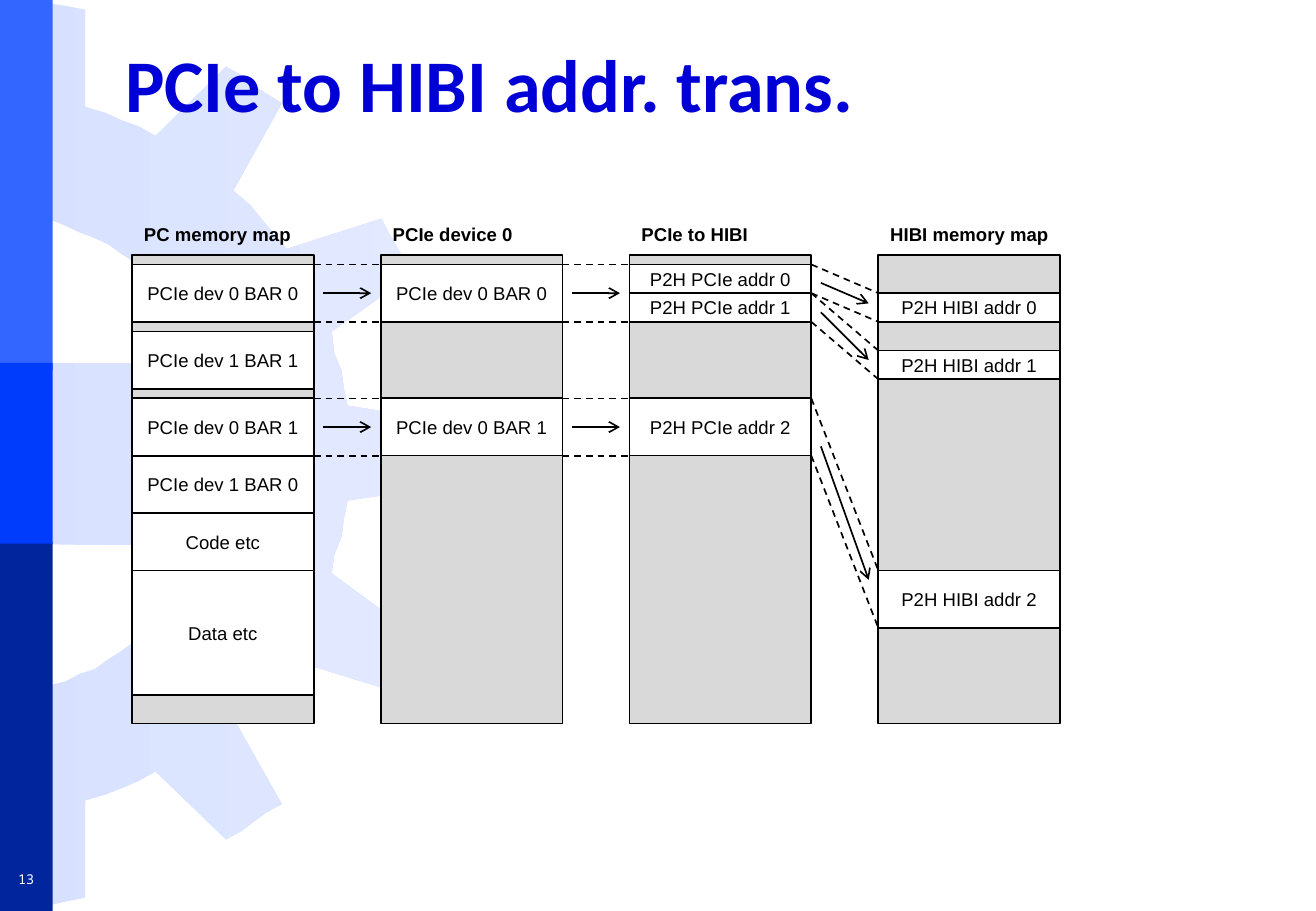
from dataclasses import dataclass

from lxml.etree import SubElement
from pptx import Presentation
from pptx.dml.color import RGBColor
from pptx.enum.dml import MSO_LINE
from pptx.enum.shapes import MSO_CONNECTOR, MSO_SHAPE
from pptx.enum.text import MSO_ANCHOR, PP_ALIGN
from pptx.oxml.ns import qn
from pptx.shapes.autoshape import Shape
from pptx.shapes.connector import Connector
from pptx.slide import Slide
from pptx.util import Cm, Pt

BLACK = RGBColor(0x00, 0x00, 0x00)
WHITE = RGBColor(0xFF, 0xFF, 0xFF)
GREY = RGBColor(0xD9, 0xD9, 0xD9)
TITLE_BLUE = RGBColor(0x00, 0x00, 0xD6)
LIGHT_BLUE = RGBColor(0x33, 0x66, 0xFF)
MID_BLUE = RGBColor(0x00, 0x3C, 0xFC)
DARK_BLUE = RGBColor(0x00, 0x25, 0x9C)
GEAR_LEFT = RGBColor(0xD7, 0xE1, 0xFF)
GEAR_RIGHT = RGBColor(0xE3, 0xEA, 0xFF)

# Lengths in centimetres
MAP_LEFT, MAP_TOP, MAP_WIDTH, MAP_HEIGHT = 2.76, 5.33, 3.8, 9.8
MAP_PITCH = 5.2
ARROW_INSET = 0.2
SIDEBAR_WIDTH = 1.1

GEAR_UNIT = Cm(0.0254)
GEAR_POINTS = [
    (173, 299), (0, 299), (0, 448), (173, 449), (167, 461), (160, 472), (155, 484),
    (147, 495), (139, 504), (130, 512), (119, 522), (111, 528), (100, 536), (89, 543),
    (78, 551), (65, 555), (54, 561), (42, 564), (28, 568), (14, 570), (14, 749),
    (29, 746), (42, 745), (55, 742), (70, 739), (70, 659), (87, 654), (100, 649),
    (114, 643), (128, 635), (186, 691), (199, 684), (208, 677), (219, 669), (232, 662),
    (192, 591), (206, 578), (215, 568), (225, 555), (236, 542), (314, 566), (320, 555),
    (327, 543), (333, 534), (338, 520), (273, 472), (275, 457), (281, 442), (282, 435),
    (283, 427), (286, 412), (367, 400), (370, 385), (370, 373), (370, 359), (367, 347),
    (286, 334), (283, 320), (281, 305), (275, 291), (273, 273), (338, 227), (333, 214),
    (327, 204), (320, 192), (314, 180), (236, 205), (225, 192), (215, 180), (206, 169),
    (192, 157), (232, 85), (219, 77), (208, 70), (199, 62), (186, 55), (128, 112),
    (114, 104), (100, 99), (87, 93), (70, 88), (70, 8), (55, 5), (42, 3), (29, 1),
    (14, 0), (14, 176), (28, 180), (42, 181), (54, 186), (65, 191), (78, 196), (89, 201),
    (100, 209), (111, 216), (119, 226), (130, 234), (139, 242), (147, 253), (155, 264),
    (160, 276), (167, 286),
]


@dataclass(frozen=True)
class Block:
    """An address range; top is measured from the top of its map."""
    text: str
    top: float
    height: float = 1.2


@dataclass(frozen=True)
class MemoryMap:
    heading: str
    blocks: tuple[Block, ...]


@dataclass(frozen=True)
class Translation:
    """A range carried from one map to the next one on its right."""
    source: int
    start_top: float
    end_top: float
    height: float = 1.2
    overshoot: float = 0


MEMORY_MAPS = [
    MemoryMap("PC memory map", (
        Block("PCIe dev 0 BAR 0", 0.2), Block("PCIe dev 1 BAR 1", 1.6),
        Block("PCIe dev 0 BAR 1", 3.0), Block("PCIe dev 1 BAR 0", 4.2),
        Block("Code etc", 5.4), Block("Data etc", 6.6, 2.6))),
    MemoryMap("PCIe device 0", (
        Block("PCIe dev 0 BAR 0", 0.2), Block("PCIe dev 0 BAR 1", 3.0))),
    MemoryMap("PCIe to HIBI", (
        Block("P2H PCIe addr 0", 0.2, 0.6), Block("P2H PCIe addr 1", 0.8, 0.6),
        Block("P2H PCIe addr 2", 3.0))),
    MemoryMap("HIBI memory map", (
        Block("P2H HIBI addr 0", 0.8, 0.6), Block("P2H HIBI addr 1", 2.0, 0.6),
        Block("P2H HIBI addr 2", 6.6))),
]
TRANSLATIONS = [
    Translation(0, 0.2, 0.2), Translation(0, 3.0, 3.0),
    Translation(1, 0.2, 0.2), Translation(1, 3.0, 3.0),
    Translation(2, 0.2, 0.8, 0.6), Translation(2, 0.8, 2.0, 0.6, 0.07),
    Translation(2, 3.0, 6.6, 1.2, 0.11),
]


def write(shape: Shape, text: str, size: float, font: str = "Arial",
          color: RGBColor = BLACK, bold: bool = False,
          align: PP_ALIGN = PP_ALIGN.CENTER, anchor: MSO_ANCHOR = MSO_ANCHOR.MIDDLE,
          wrap: bool = False) -> None:
    frame = shape.text_frame
    frame.word_wrap = wrap
    frame.vertical_anchor = anchor
    paragraph = frame.paragraphs[0]
    paragraph.alignment = align
    run = paragraph.add_run()
    run.text = text
    run.font.name = font
    run.font.size = Pt(size)
    run.font.bold = bold
    run.font.color.rgb = color


def add_rectangle(slide: Slide, left: float, top: float, width: float, height: float,
                  color: RGBColor, outlined: bool = True) -> Shape:
    shape = slide.shapes.add_shape(
        MSO_SHAPE.RECTANGLE, Cm(left), Cm(top), Cm(width), Cm(height))
    shape.shadow.inherit = False
    shape.fill.solid()
    shape.fill.fore_color.rgb = color
    if outlined:
        shape.line.color.rgb = BLACK
        shape.line.width = Pt(1)
    else:
        shape.line.fill.background()
    return shape


def add_line(slide: Slide, x1: float, y1: float, x2: float, y2: float) -> Connector:
    line = slide.shapes.add_connector(
        MSO_CONNECTOR.STRAIGHT, Cm(x1), Cm(y1), Cm(x2), Cm(y2))
    line.line.color.rgb = BLACK
    line.line.width = Pt(1)
    SubElement(line.element.spPr, qn("a:effectLst"))
    return line


def add_background(slide: Slide) -> None:
    builder = slide.shapes.build_freeform(*GEAR_POINTS[0], scale=GEAR_UNIT)
    builder.add_line_segments(GEAR_POINTS[1:], close=True)
    gear = builder.convert_to_shape()
    gear.shadow.inherit = False
    gear.line.fill.background()
    gear.fill.gradient()
    gear.fill.gradient_angle = 0
    for stop, color in zip(gear.fill.gradient_stops, (GEAR_LEFT, GEAR_RIGHT)):
        stop.color.rgb = color
    slide.shapes.title.element.addprevious(gear.element)

    for top, height, color in ((0, 7.75, LIGHT_BLUE), (11.33, 7.72, DARK_BLUE),
                               (7.59, 3.78, MID_BLUE)):
        add_rectangle(slide, 0, top, SIDEBAR_WIDTH, height, color, outlined=False)
    number = slide.shapes.add_textbox(0, Cm(18.06), Cm(SIDEBAR_WIDTH), Cm(0.66))
    write(number, "13", 8, "Noto Sans Mono", WHITE)


def add_title(slide: Slide) -> None:
    title = slide.shapes.title
    title.left, title.top, title.width, title.height = Cm(2.36), Cm(0.53), Cm(23.85), Cm(2.39)
    write(title, "PCIe to HIBI addr. trans.", 44, "Calibri", TITLE_BLUE, bold=True,
          align=PP_ALIGN.LEFT, wrap=True)


def add_memory_map(slide: Slide, index: int, memory_map: MemoryMap) -> None:
    left = MAP_LEFT + index * MAP_PITCH
    heading = slide.shapes.add_textbox(Cm(left), Cm(4.53), Cm(4.17), Cm(0.6))
    write(heading, memory_map.heading, 11, bold=True, align=PP_ALIGN.LEFT,
          anchor=MSO_ANCHOR.TOP, wrap=True)
    add_rectangle(slide, left, MAP_TOP, MAP_WIDTH, MAP_HEIGHT, GREY)
    for block in memory_map.blocks:
        shape = add_rectangle(
            slide, left, MAP_TOP + block.top, MAP_WIDTH, block.height, WHITE)
        write(shape, block.text, 11)


def add_translation(slide: Slide, translation: Translation) -> None:
    """Draw dashed lines along both range limits and an arrow between them."""
    gap = MAP_PITCH - MAP_WIDTH
    x1 = MAP_LEFT + translation.source * MAP_PITCH + MAP_WIDTH
    y1 = MAP_TOP + translation.start_top
    y2 = MAP_TOP + translation.end_top
    for offset in (0, translation.height):
        limit = add_line(slide, x1, y1 + offset, x1 + gap, y2 + offset)
        limit.line.dash_style = MSO_LINE.DASH
    middle = translation.height / 2
    rise = (y2 - y1) * ARROW_INSET / gap - translation.overshoot
    arrow = add_line(slide, x1 + ARROW_INSET, y1 + middle + rise,
                     x1 + gap - ARROW_INSET, y2 + middle - rise)
    SubElement(arrow.element.spPr.get_or_add_ln(), qn("a:tailEnd"), type="arrow")


def main() -> None:
    presentation = Presentation()
    presentation.slide_width, presentation.slide_height = Cm(27.51), Cm(19.05)
    slide = presentation.slides.add_slide(presentation.slide_layouts[5])
    add_background(slide)
    add_title(slide)
    for index, memory_map in enumerate(MEMORY_MAPS):
        add_memory_map(slide, index, memory_map)
    for translation in TRANSLATIONS:
        add_translation(slide, translation)
    presentation.save("out.pptx")


if __name__ == "__main__":
    main()
